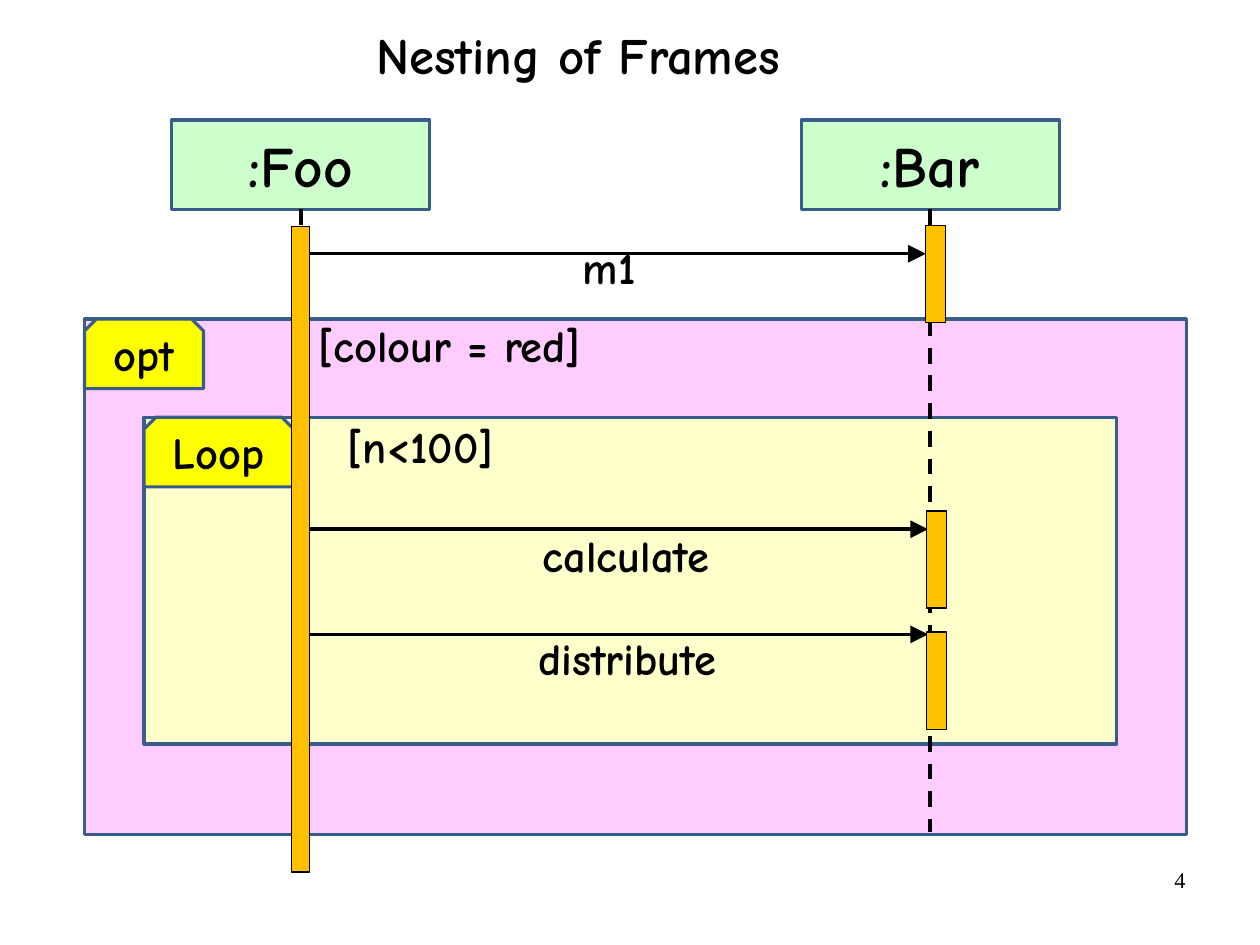
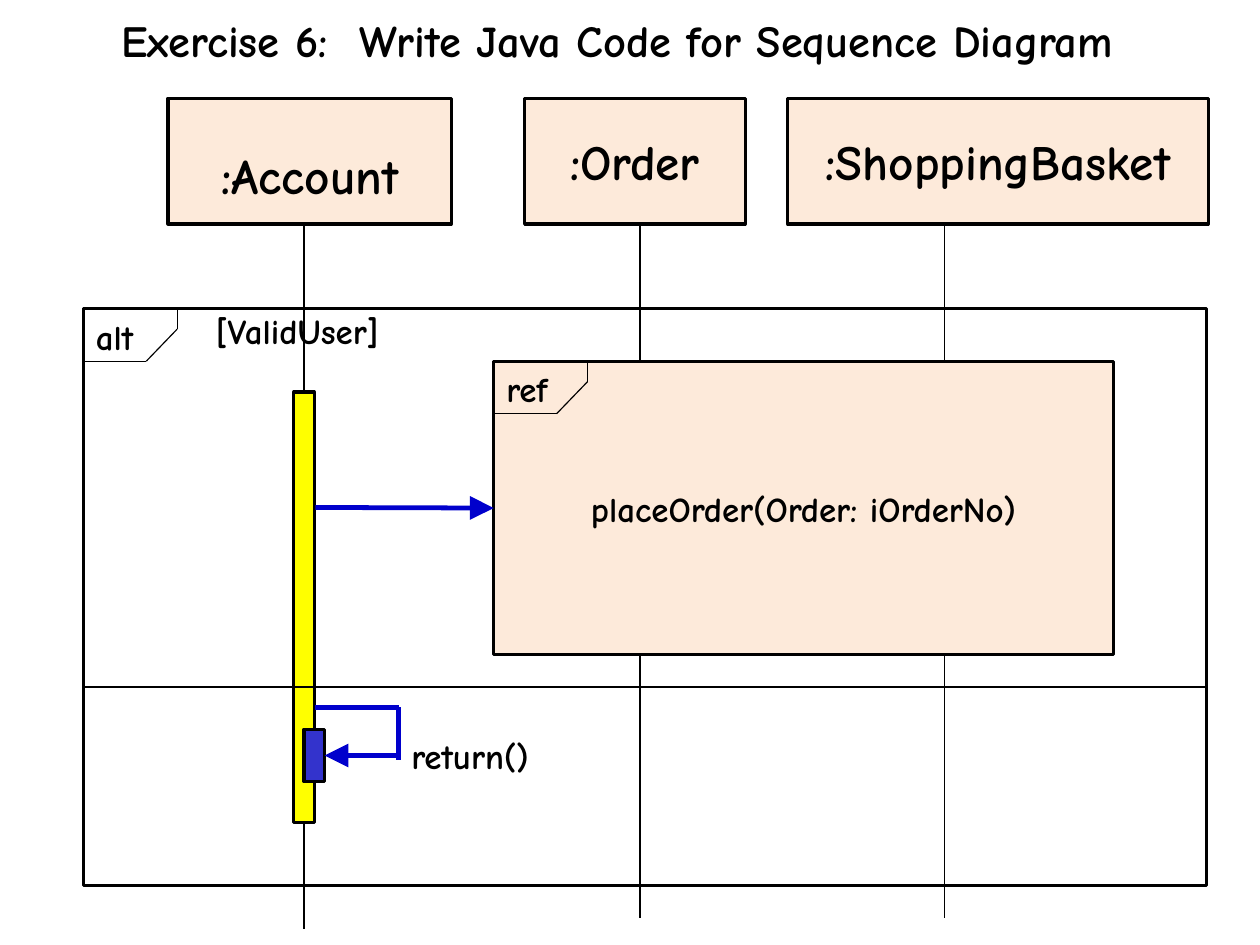
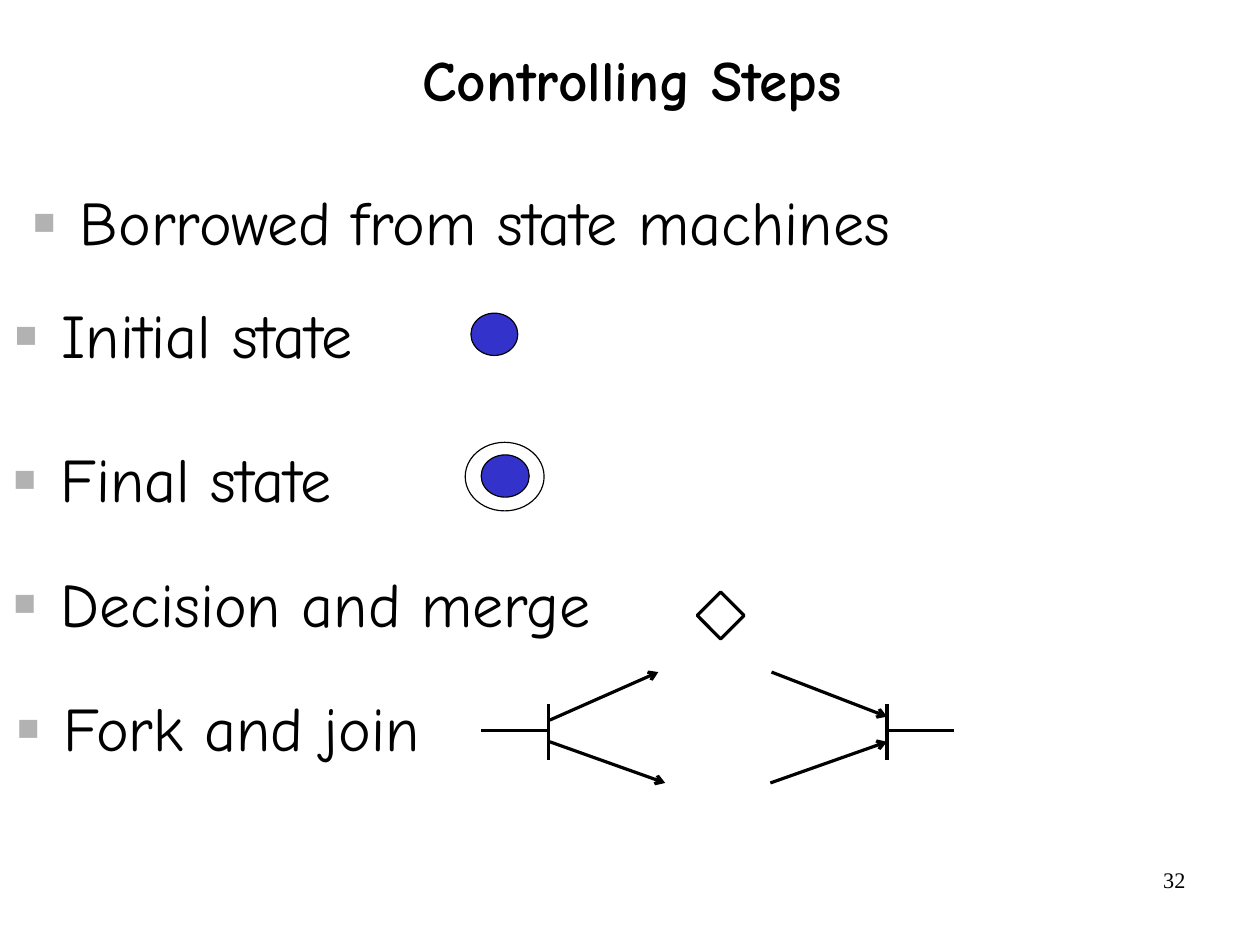
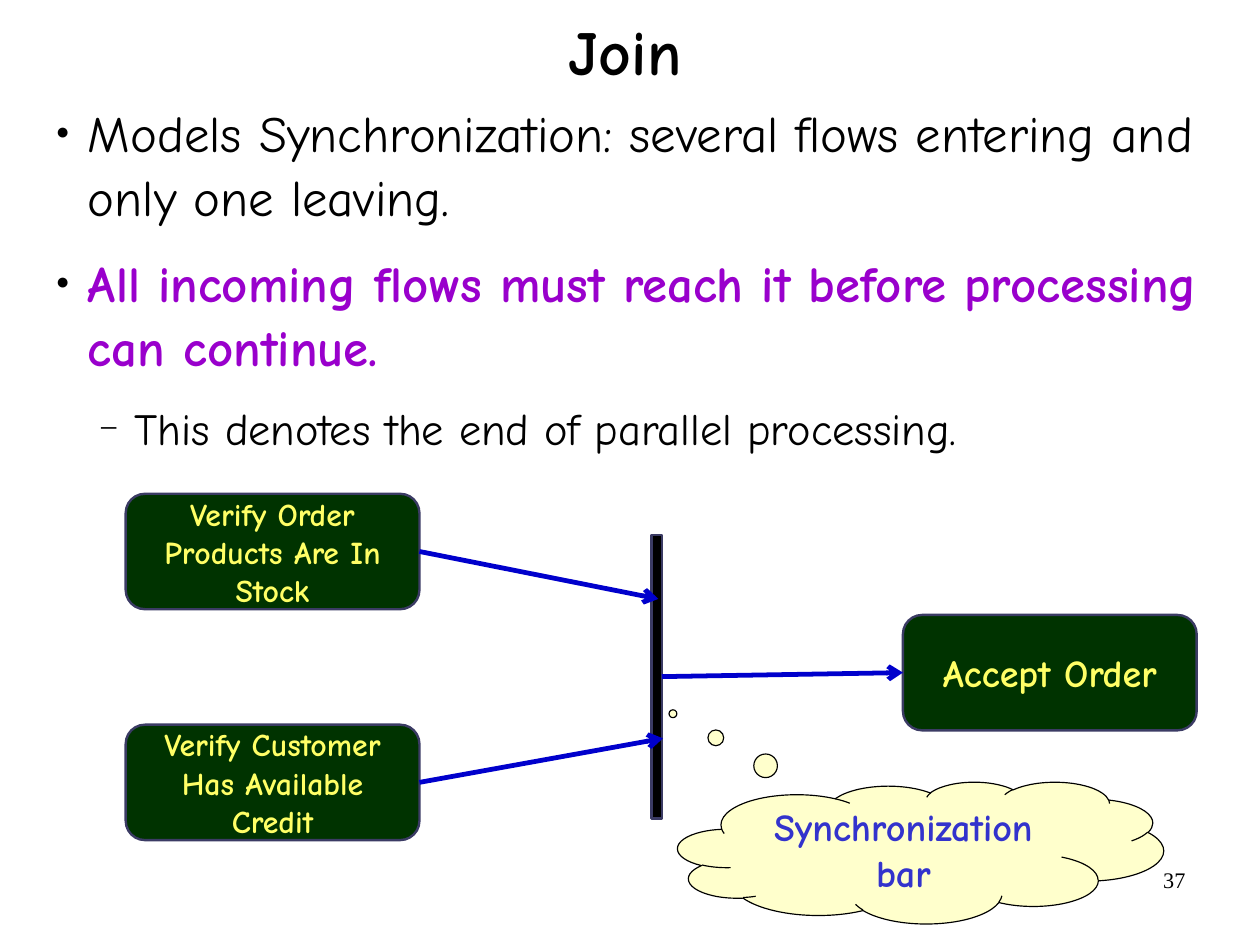
from itertools import pairwise
from lxml import etree
from pptx import Presentation
from pptx import util as u
from pptx.dml.color import RGBColor
from pptx.enum import dml, shapes, text
from pptx.oxml import ns

FONT, SERIF = "Comic Neue", "Times New Roman"
BLACK, WHITE = "000000", "FFFFFF"
NAVY, BLUE, INK = "385D8A", "0000CC", "3333CC"
YELLOW, AMBER, PEACH = "FFFF00", "FFC000", "FDEADA"
GREEN, LIME, SLATE = "003300", "FFFF66", "3B3B64"
CREAM = "FFFFCC"
KIND = shapes.MSO_SHAPE
LEFT, MID, RIGHT = text.PP_ALIGN.LEFT, text.PP_ALIGN.CENTER, text.PP_ALIGN.RIGHT
TOP, HALF, LOW = text.MSO_ANCHOR.TOP, text.MSO_ANCHOR.MIDDLE, text.MSO_ANCHOR.BOTTOM
INSET = (0.11, 0.06, 0.11, 0.06)


def rgb(code):
    return RGBColor.from_string(code)


def add(parent, tag, **attrs):
    return etree.SubElement(parent, ns.qn(tag), attrs)


def place(item, at):
    item.left, item.top, item.width, item.height = map(u.Inches, at)


def setup(item, anchor=TOP, inset=INSET, wrap=True):
    frame = item.text_frame
    frame.auto_size = text.MSO_AUTO_SIZE.NONE
    frame.word_wrap = wrap
    frame.vertical_anchor = anchor
    sides = map(u.Inches, inset)
    frame.margin_left, frame.margin_top, frame.margin_right, frame.margin_bottom = sides
    return frame


def write(para, words, size, color=BLACK, bold=True, align=LEFT, font=FONT):
    para.alignment = align
    run = para.add_run()
    run.text = words
    run.font.name = font
    run.font.size = u.Pt(size)
    run.font.bold = bold
    run.font.color.rgb = rgb(color)


def title(slide, words, at, size, anchor=HALF, align=MID, gap=0.88, inset=INSET):
    head = slide.shapes.title
    place(head, at)
    para = setup(head, anchor, inset).paragraphs[0]
    para.line_spacing = gap
    write(para, words, size, align=align)


def label(slide, words, at, size, wrap=True, **style):
    item = slide.shapes.add_textbox(*map(u.Inches, at))
    write(setup(item, wrap=wrap).paragraphs[0], words, size, **style)


def number(slide, value):
    item = slide.shapes.add_textbox(*map(u.Inches, (7.9, 7.53, 2.57, 0.57)))
    para = setup(item, inset=(0.1, 0.05, 0.1, 0.05)).paragraphs[0]
    write(para, value, 14, bold=False, align=RIGHT, font=SERIF)


def shape(slide, at, fill, line=BLACK, width=2, kind=KIND.RECTANGLE, adjust=()):
    item = slide.shapes.add_shape(kind, *map(u.Inches, at))
    item.shadow.inherit = False
    if fill:
        item.fill.solid()
        item.fill.fore_color.rgb = rgb(fill)
    else:
        item.fill.background()
    item.line.color.rgb = rgb(line)
    item.line.width = u.Pt(width)
    for index, value in enumerate(adjust):
        item.adjustments[index] = value
    return item


def fill_in(item, words, size, color=BLACK, inset=INSET):
    write(setup(item, HALF, inset).paragraphs[0], words, size, color, align=MID)


def line(slide, start, end, color=BLACK, width=0.75, tip=None, dash=False,
         begin=None, finish=None):
    ends = map(u.Inches, (*start, *end))
    item = slide.shapes.add_connector(shapes.MSO_CONNECTOR.STRAIGHT, *ends)
    item.line.color.rgb = rgb(color)
    item.line.width = u.Pt(width)
    if dash:
        item.line.dash_style = dml.MSO_LINE.DASH
    if tip:
        scale = "lg" if tip == "triangle" else "med"
        add(item.line._get_or_add_ln(), "a:tailEnd", type=tip, w=scale, len=scale)
    add(item._element.spPr, "a:effectLst")
    if begin:
        item.begin_connect(*begin)
    if finish:
        item.end_connect(*finish)


def trace(slide, points, **style):
    for start, end in pairwise(points):
        line(slide, start, end, **style)


def bullet(para, mark, color, scale, left, hang):
    props = para._p.get_or_add_pPr()
    props.set("marL", str(u.Inches(left)))
    props.set("indent", str(-u.Inches(hang)))
    add(add(props, "a:buClr"), "a:srgbClr", val=color)
    add(props, "a:buSzPct", val=str(scale * 1000))
    add(props, "a:buFont", typeface=SERIF)
    add(props, "a:buChar", char=mark)


def point(slide, words, at):
    item = slide.shapes.add_textbox(*map(u.Inches, at))
    para = setup(item).paragraphs[0]
    bullet(para, "■", "B2B2B2", 60, 0.41, 0.41)
    para.line_spacing = 0.9
    write(para, words, 39, bold=False)


def corner(slide, x, y, words):
    trace(slide, [(x, y + 0.46), (x + 0.55, y + 0.46), (x + 0.82, y + 0.18),
                  (x + 0.82, y)])
    label(slide, words, (x, y, 0.7, 0.48), 22, wrap=False)


def nesting(slide):
    title(slide, "Nesting of Frames", (3.18, 0.15, 6.32, 0.65), 32, TOP, LEFT, 1)
    number(slide, "4")
    heads = []
    for x, name in ((1.5, ":Foo"), (7.01, ":Bar")):
        head = shape(slide, (x, 1.05, 2.26, 0.78), "CCFFCC", NAVY)
        fill_in(head, name, 36)
        heads.append((head, x + 1.13))
    for at, fill in (((0.74, 2.79, 9.64, 4.51), "FFCCFF"),
                     ((1.26, 3.65, 8.51, 2.86), CREAM)):
        shape(slide, at, fill, NAVY)
    for at, name in (((1.26, 3.65, 1.31, 0.61), "Loop"),
                     ((0.74, 2.79, 1.04, 0.61), "opt")):
        tab = shape(slide, at, YELLOW, NAVY, kind=KIND.SNIP_2_SAME_RECTANGLE,
                    adjust=(0.17, 0))
        fill_in(tab, name, 28, inset=(0.11, 0.06, 0.11, 0.11))
    for head, x in heads:
        line(slide, (x, 1.83), (x, 7.28), width=2.5, dash=True, begin=(head, 2))
    for x, y, words in ((2.68, 2.72, "[colour = red]"), (2.93, 3.61, "[n<100]"),
                        (4.99, 2.04, "m1"), (4.64, 4.56, "calculate"),
                        (4.6, 5.46, "distribute")):
        label(slide, words, (x, y, 3.33, 0.58), 28)
    for y, end in ((2.22, 8.1), (4.63, 8.12), (5.55, 8.12)):
        line(slide, (2.68, y), (end, y), width=2.25, tip="triangle")
    for x, y, wide, high in ((8.1, 1.97, 0.17, 0.85), (8.11, 4.47, 0.17, 0.85),
                             (8.11, 5.53, 0.17, 0.85), (2.55, 1.98, 0.16, 5.65)):
        shape(slide, (x, y, wide, high), AMBER, width=0.75)


def exercise(slide):
    title(slide, "Exercise 6:  Write Java Code for Sequence Diagram",
          (0.23, 0, 10.34, 0.76), 28, inset=(0, 0, 0, 0))
    shape(slide, (0.73, 2.7, 9.83, 5.05), WHITE)
    order = shape(slide, (4.32, 3.16, 5.42, 2.57), PEACH)
    fill_in(order, "placeOrder(Order: iOrderNo)", 22)
    for x, wide, name, top in ((1.47, 2.48, ":Account", 0.3),
                               (4.59, 1.93, ":Order", 0.06),
                               (6.89, 3.68, ":ShoppingBasket", 0.06)):
        head = shape(slide, (x, 0.86, wide, 1.1), PEACH)
        fill_in(head, name, 31, inset=(0.11, top, 0.11, 0.06))
    for x in (5.6, 8.26):
        line(slide, (x, 1.97), (x, 3.16))
        line(slide, (x, 5.73), (x, 8.03))
    bar = shape(slide, (2.57, 3.43, 0.18, 3.77), YELLOW)
    line(slide, (2.66, 1.97), (2.66, 3.43), finish=(bar, 0))
    line(slide, (2.66, 7.2), (2.66, 8.13), begin=(bar, 2))
    inner = shape(slide, (2.66, 6.38, 0.18, 0.46), INK)
    trace(slide, [(2.76, 6.19), (3.49, 6.19), (3.49, 6.65)], color=BLUE, width=3)
    line(slide, (3.49, 6.61), (2.84, 6.61), BLUE, 3, "triangle", finish=(inner, 3))
    line(slide, (2.76, 4.44), (4.32, 4.44), BLUE, 3, "triangle", finish=(order, 1))
    label(slide, "return()", (3.49, 6.37, 1.37, 0.48), 22, wrap=False)
    label(slide, "[ValidUser]", (1.78, 2.65, 1.86, 0.48), 22, wrap=False)
    corner(slide, 0.73, 2.7, "alt")
    corner(slide, 4.32, 3.16, "ref")
    line(slide, (0.73, 6.01), (10.56, 6.01))


def control(slide):
    title(slide, "Controlling Steps", (0.83, -0.32, 9.4, 1.37), 36, LOW)
    number(slide, "32")
    for x, y, words in ((0.18, 1.62, "Borrowed from state machines"),
                        (0.02, 2.61, "Initial state"), (0.01, 3.87, "Final state"),
                        (0.01, 4.96, "Decision and merge"),
                        (0.04, 6.05, "Fork and join")):
        point(slide, words, (x, y, 9.37, 0.84))
    for at, fill in (((4.12, 2.74, 0.41, 0.37), INK), ((4.21, 3.98, 0.42, 0.37), INK),
                     ((4.07, 3.87, 0.69, 0.6), None)):
        shape(slide, at, fill, width=0.75, kind=KIND.OVAL)
    shape(slide, (6.1, 5.18, 0.41, 0.41), None, kind=KIND.DIAMOND)
    for x, edge in ((4.8, 4.21), (7.76, 8.35)):
        line(slide, (x, 6.16), (x, 6.65), width=2)
        line(slide, (x, 6.39), (edge, 6.39), width=2)
    for start, end in (((4.81, 6.3), (5.76, 5.88)), ((4.81, 6.49), (5.82, 6.85)),
                       ((6.75, 5.88), (7.76, 6.27)), ((6.74, 6.85), (7.76, 6.49))):
        line(slide, start, end, width=2, tip="arrow")


def join(slide):
    title(slide, "Join", (0.51, 0, 9.92, 0.97), 40)
    number(slide, "37")
    item = slide.shapes.add_textbox(*map(u.Inches, (0.26, 0.8, 10.58, 7.28)))
    frame = setup(item)
    rows = (
        ("Models Synchronization: several flows entering and only one leaving.",
         32, BLACK, False, ("●", BLACK, 45, 0.4, 0.28)),
        ("All incoming flows must reach it before processing can continue.",
         32, "9900CC", True, ("●", BLACK, 45, 0.4, 0.28)),
        ("This denotes the end of parallel processing.",
         28, BLACK, False, ("−", BLACK, 75, 0.81, 0.31)),
    )
    for index, (words, size, color, bold, mark) in enumerate(rows):
        para = frame.add_paragraph() if index else frame.paragraphs[0]
        bullet(para, *mark)
        para.line_spacing = 1.05
        para.space_after = u.Pt(14)
        write(para, words, size, color, bold)
    steps = []
    for x, y, words, size in ((1.1, 4.32, "Verify Order Products Are In Stock", 20),
                              (1.1, 6.34, "Verify Customer Has Available Credit", 20),
                              (7.9, 5.38, "Accept Order", 24)):
        step = shape(slide, (x, y, 2.57, 1.01), GREEN, SLATE, 1.5,
                     KIND.FLOWCHART_ALTERNATE_PROCESS)
        fill_in(step, words, size, LIME)
        steps.append(step)
    stock, credit, accept = steps
    bar = shape(slide, (5.7, 4.68, 0.09, 2.48), BLACK, SLATE, 1.5)
    line(slide, (3.67, 4.82), (5.76, 5.24), BLUE, 3, "arrow", begin=(stock, 3))
    line(slide, (3.67, 6.84), (5.8, 6.46), BLUE, 3, "arrow", begin=(credit, 3))
    line(slide, (5.79, 5.92), (7.9, 5.89), BLUE, 3, "arrow",
         begin=(bar, 3), finish=(accept, 1))
    cloud = shape(slide, (5.93, 6.84, 4.25, 1.24), CREAM, width=0.75,
                  kind=KIND.CLOUD_CALLOUT, adjust=(-0.51, -0.98))
    fill_in(cloud, "Synchronization bar", 24, INK, (0.1, 0.05, 0.1, 0.05))


def main():
    deck = Presentation()
    deck.slide_width, deck.slide_height = u.Cm(28), u.Cm(21)
    for build in (nesting, exercise, control, join):
        build(deck.slides.add_slide(deck.slide_layouts[5]))
    deck.save("out.pptx")


if __name__ == "__main__":
    main()
